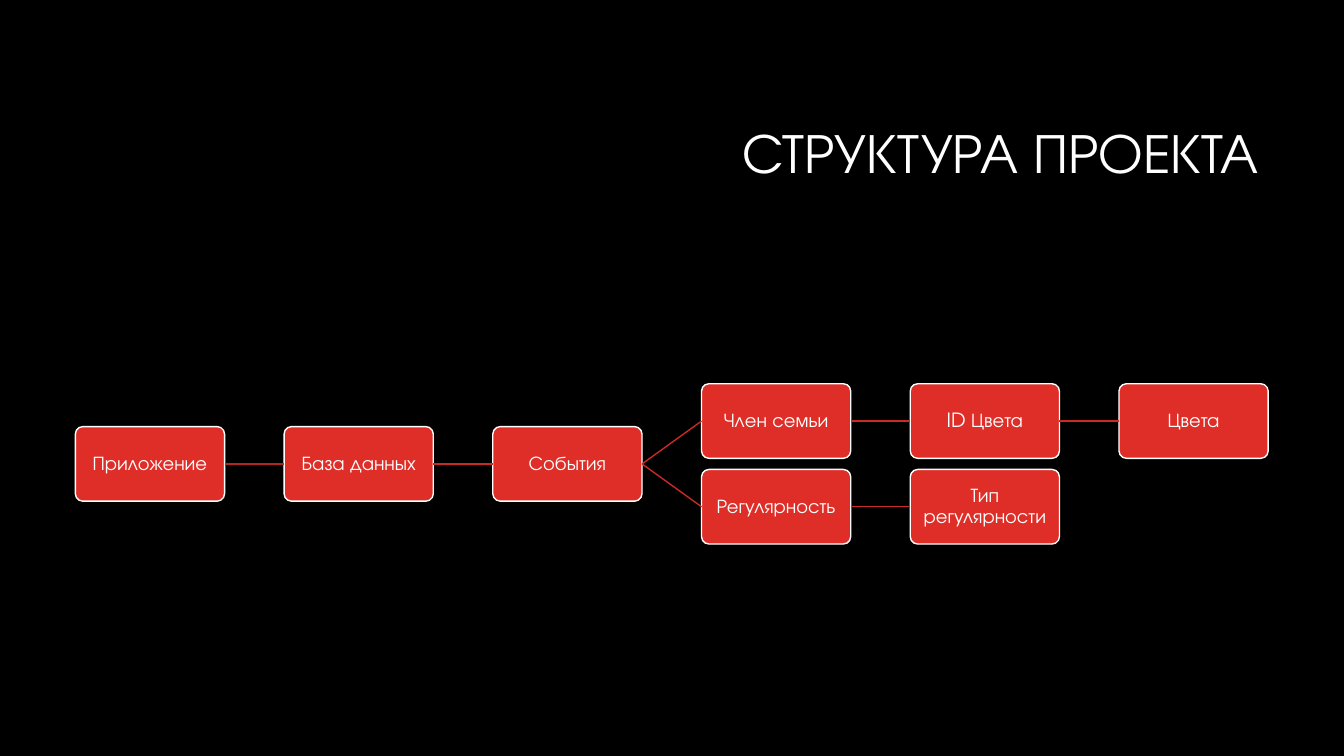
from pptx import Presentation
from pptx.dml.color import RGBColor
from pptx.enum.shapes import MSO_CONNECTOR, MSO_SHAPE
from pptx.enum.text import MSO_ANCHOR, PP_ALIGN
from pptx.oxml.ns import qn
from pptx.util import Cm, Pt
from lxml import etree

ROUNDED = MSO_SHAPE.ROUNDED_RECTANGLE
STRAIGHT = MSO_CONNECTOR.STRAIGHT
MIDDLE = MSO_ANCHOR.MIDDLE
CENTER = PP_ALIGN.CENTER
RIGHT = PP_ALIGN.RIGHT
FONT = "TeX Gyre Adventor"
LEFT_SIDE, RIGHT_SIDE = 1, 3


def color(value):
    return RGBColor.from_string(value)


def format_text(frame, size, alignment):
    frame.word_wrap = True
    frame.vertical_anchor = MIDDLE
    para = frame.paragraphs[0]
    para.alignment = alignment
    para.line_spacing = 0.9
    para.font.name = FONT
    para.font.size = Pt(size)
    para.font.color.rgb = color("FFFFFF")


deck = Presentation()
deck.slide_width, deck.slide_height = Cm(33.87), Cm(19.05)
page = deck.slides.add_slide(deck.slide_layouts[5])
page.background.fill.solid()
page.background.fill.fore_color.rgb = color("000000")

title = page.shapes.title
title.left, title.top = Cm(8.05), Cm(2.13)
title.width, title.height = Cm(23.93), Cm(3.58)
title.text_frame.text = "СТРУКТУРА ПРОЕКТА"
format_text(title.text_frame, 40, RIGHT)

first_left, column_step = 1.9, 5.26
middle_top, row_step = 10.75, 1.08
box_width, box_height = 3.76, 1.88

nodes = [
    ("Приложение", 0, 0),
    ("База данных", 1, 0),
    ("События", 2, 0),
    ("Член семьи", 3, -1),
    ("ID Цвета", 4, -1),
    ("Цвета", 5, -1),
    ("Регулярность", 3, 1),
    ("Тип регулярности", 4, 1),
]
boxes = {}
for label, column, row in nodes:
    box = page.shapes.add_shape(
        ROUNDED,
        Cm(first_left + column * column_step),
        Cm(middle_top + row * row_step),
        Cm(box_width),
        Cm(box_height),
    )
    box.adjustments[0] = 0.1
    box.shadow.inherit = False
    box.fill.solid()
    box.fill.fore_color.rgb = color("DF2E28")
    box.line.color.rgb = color("FFFFFF")
    box.line.width = Pt(1)
    frame = box.text_frame
    frame.margin_left = frame.margin_right = Cm(0.03)
    frame.margin_top = frame.margin_bottom = Cm(0.03)
    frame.text = label
    format_text(frame, 14, CENTER)
    boxes[label] = box

links = [
    ("Приложение", "База данных", "B32520"),
    ("База данных", "События", "CA2A24"),
    ("События", "Член семьи", "CA2A24"),
    ("Член семьи", "ID Цвета", "CA2A24"),
    ("ID Цвета", "Цвета", "CA2A24"),
    ("События", "Регулярность", "CA2A24"),
    ("Регулярность", "Тип регулярности", "CA2A24"),
]
for parent, child, line_color in links:
    link = page.shapes.add_connector(STRAIGHT, 0, 0, 0, 0)
    link.begin_connect(boxes[parent], RIGHT_SIDE)
    link.end_connect(boxes[child], LEFT_SIDE)
    link.line.color.rgb = color(line_color)
    link.line.width = Pt(1)
    etree.SubElement(link._element.spPr, qn("a:effectLst"))

deck.save("out.pptx")
